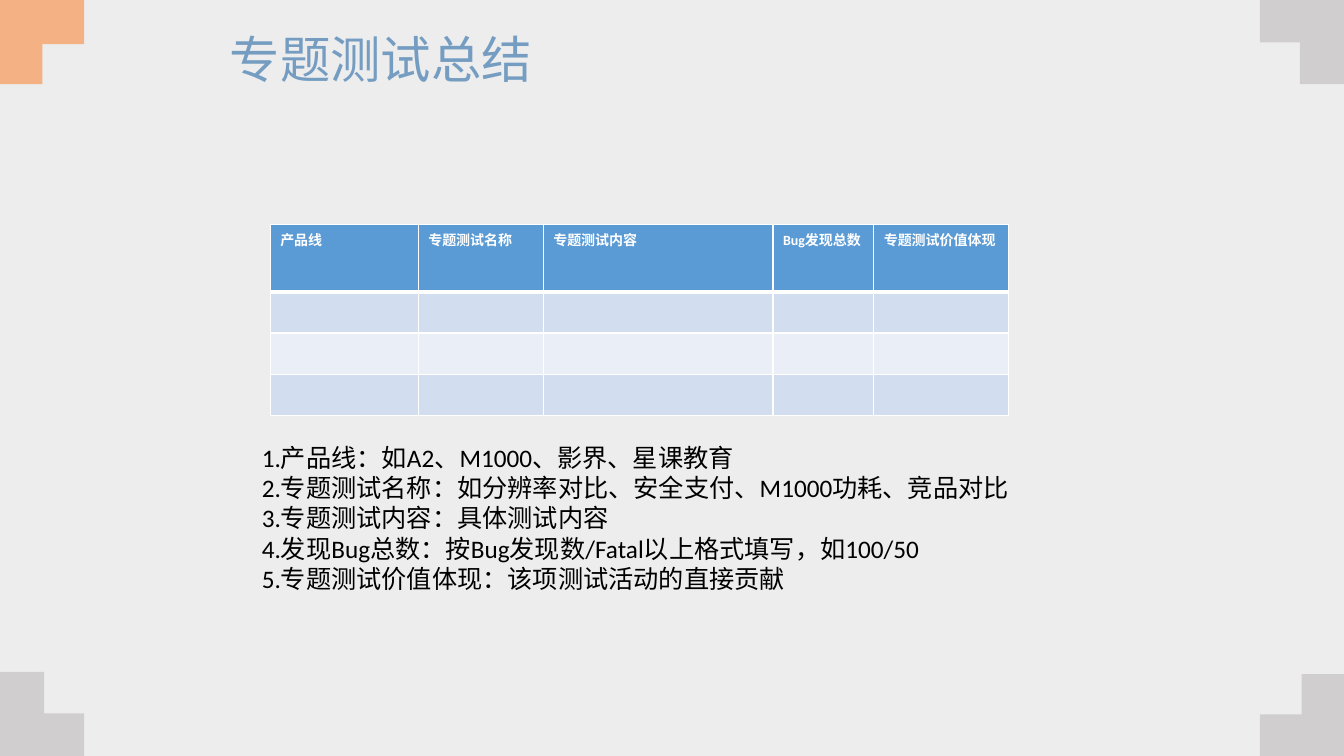
from dataclasses import dataclass

from lxml.etree import SubElement
from pptx import Presentation
from pptx.dml.color import RGBColor
from pptx.enum.text import MSO_ANCHOR, MSO_AUTO_SIZE
from pptx.oxml.ns import qn
from pptx.slide import Slide
from pptx.table import _Cell as Cell
from pptx.text.text import _Paragraph as Paragraph
from pptx.util import Cm, Pt

COLORS = {
    "background": "EDEDED",
    "grey": "D0CECE",
    "orange": "F4B183",
    "title": "759DC2",
    "header": "5B9BD5",
    "odd_row": "D2DEEF",
    "even_row": "EAEFF7",
    "white": "FFFFFF",
    "black": "000000",
}
CORNER_SIZE = 2.12
CORNER_OUTLINE = [(0, 0), (1.11, 0), (1.11, 1.05), (CORNER_SIZE, 1.05),
                  (CORNER_SIZE, CORNER_SIZE), (0, CORNER_SIZE)]
NOTES = [
    "1.产品线：如A2、M1000、影界、星课教育",
    "2.专题测试名称：如分辨率对比、安全支付、M1000功耗、竞品对比",
    "3.专题测试内容：具体测试内容",
    "4.发现Bug总数：按Bug发现数/Fatal以上格式填写，如100/50",
    "5.专题测试价值体现：该项测试活动的直接贡献",
]


@dataclass
class Corner:
    left: float
    top: float
    rotation: int
    color: str


@dataclass
class Column:
    heading: str
    width: float


@dataclass
class TextBox:
    left: float
    top: float
    width: float
    height: float
    lines: list[str]
    font: str
    size: int
    color: str
    anchor: MSO_ANCHOR = MSO_ANCHOR.TOP
    auto_size: MSO_AUTO_SIZE = MSO_AUTO_SIZE.NONE
    line_spacing: float = 1.0


CORNERS = [
    Corner(0, 16.93, 0, "grey"),
    Corner(0, 0, 90, "orange"),
    Corner(31.75, 0, 180, "grey"),
    Corner(31.75, 16.99, 270, "grey"),
]
COLUMNS = [
    Column("产品线", 3.73),
    Column("专题测试名称", 3.15),
    Column("专题测试内容", 5.79),
    Column("Bug发现总数", 2.54),
    Column("专题测试价值体现", 3.4),
]
ROW_HEIGHTS = [1.69, 1.04, 1.04, 1.04]
TEXT_BOXES = [
    TextBox(5.54, 0.71, 22.81, 1.7, ["专题测试总结"], "Noto Sans CJK SC", 36,
            "title", anchor=MSO_ANCHOR.MIDDLE, line_spacing=0.9),
    TextBox(6.35, 11.02, 19.38, 4.11, NOTES, "Calibri", 18, "black",
            auto_size=MSO_AUTO_SIZE.SHAPE_TO_FIT_TEXT),
]


def rgb(name: str) -> RGBColor:
    return RGBColor.from_string(COLORS[name])


def style_paragraph(paragraph: Paragraph, font: str, size: int, color: str) -> None:
    paragraph.font.name = font
    paragraph.font.size = Pt(size)
    paragraph.font.color.rgb = rgb(color)


def add_corner(slide: Slide, corner: Corner) -> None:
    start, *others = [(Cm(x), Cm(y)) for x, y in CORNER_OUTLINE]
    builder = slide.shapes.build_freeform(*start)
    builder.add_line_segments(others)
    shape = builder.convert_to_shape(Cm(corner.left), Cm(corner.top))
    shape.rotation = corner.rotation
    shape.shadow.inherit = False
    shape.fill.solid()
    shape.fill.fore_color.rgb = rgb(corner.color)
    shape.line.fill.background()


def add_text_box(slide: Slide, box: TextBox) -> None:
    shape = slide.shapes.add_textbox(
        Cm(box.left), Cm(box.top), Cm(box.width), Cm(box.height))
    frame = shape.text_frame
    frame.word_wrap = True
    frame.auto_size = box.auto_size
    frame.vertical_anchor = box.anchor
    frame.text = "\n".join(box.lines)
    for paragraph in frame.paragraphs:
        paragraph.line_spacing = box.line_spacing
        style_paragraph(paragraph, box.font, box.size, box.color)


def paint_cell(cell: Cell, color: str, top: int, bottom: int) -> None:
    """Fill the cell and give it white borders, 1 pt wide at the sides."""
    properties = cell._tc.get_or_add_tcPr()
    for tag, width in {"lnL": 1, "lnR": 1, "lnT": top, "lnB": bottom}.items():
        border = SubElement(properties, qn(f"a:{tag}"), w=str(Pt(width)))
        fill = SubElement(border, qn("a:solidFill"))
        SubElement(fill, qn("a:srgbClr"), val=COLORS["white"])
    cell.fill.solid()
    cell.fill.fore_color.rgb = rgb(color)


def add_summary_table(slide: Slide) -> None:
    width = sum(column.width for column in COLUMNS)
    table = slide.shapes.add_table(
        len(ROW_HEIGHTS), len(COLUMNS), Cm(6.81), Cm(5.66),
        Cm(width), Cm(sum(ROW_HEIGHTS))).table
    for row, height in zip(table.rows, ROW_HEIGHTS):
        row.height = Cm(height)
    for index, column in enumerate(COLUMNS):
        table.columns[index].width = Cm(column.width)
        heading = table.cell(0, index)
        heading.text = column.heading
        paragraph = heading.text_frame.paragraphs[0]
        style_paragraph(paragraph, "Calibri", 10, "white")
        paragraph.font.bold = True
        paint_cell(heading, "header", 1, 3)
        for row_index in range(1, len(ROW_HEIGHTS)):
            color = "odd_row" if row_index % 2 else "even_row"
            top = 3 if row_index == 1 else 1
            paint_cell(table.cell(row_index, index), color, top, 1)


def main() -> None:
    presentation = Presentation()
    presentation.slide_width = Cm(33.87)
    presentation.slide_height = Cm(19.05)
    slide = presentation.slides.add_slide(presentation.slide_layouts[6])
    slide.background.fill.solid()
    slide.background.fill.fore_color.rgb = rgb("background")
    for corner in CORNERS:
        add_corner(slide, corner)
    title, notes = TEXT_BOXES
    add_text_box(slide, title)
    add_summary_table(slide)
    add_text_box(slide, notes)
    presentation.save("out.pptx")


if __name__ == "__main__":
    main()
